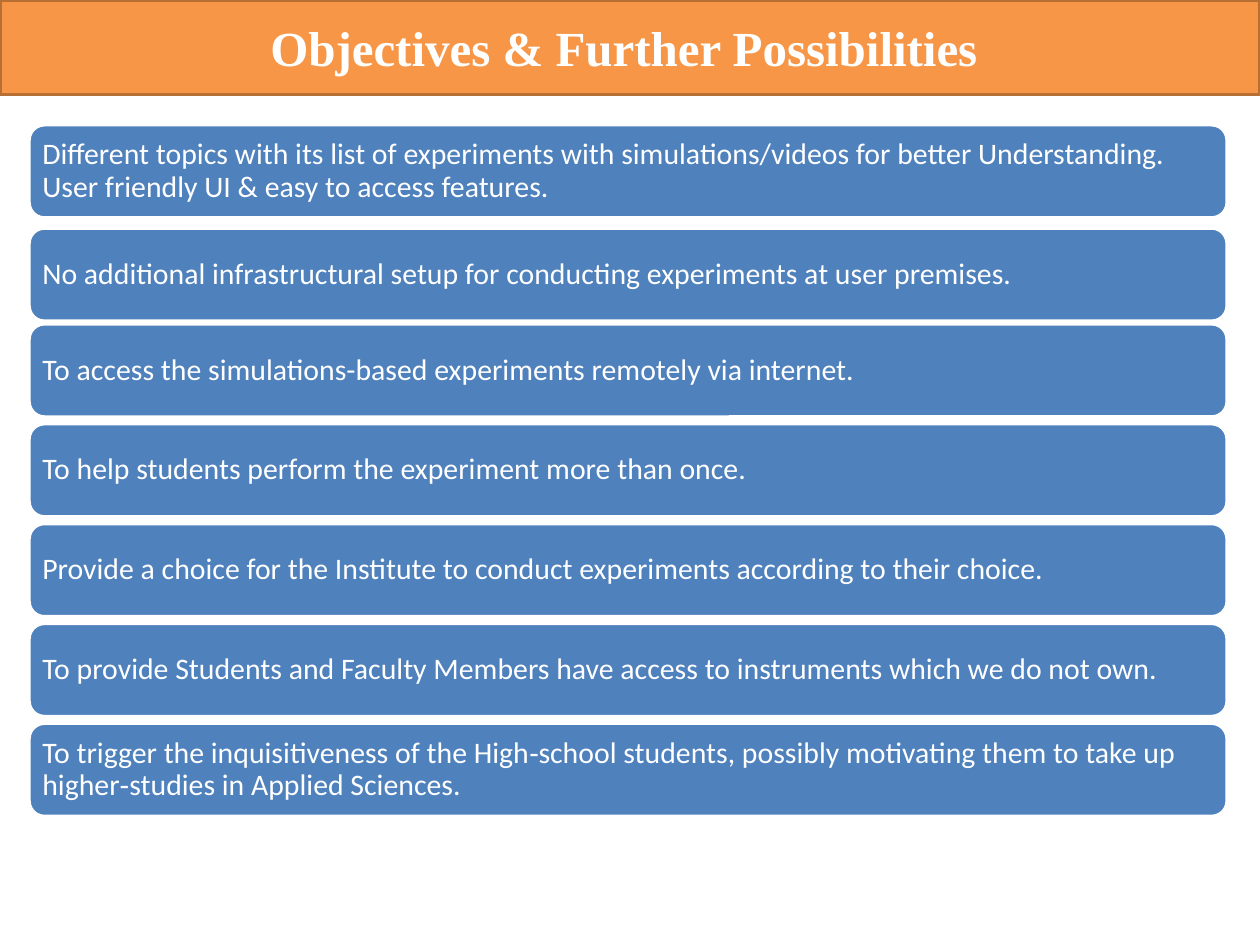
from pptx import Presentation
from pptx.dml.color import RGBColor
from pptx.enum.shapes import MSO_SHAPE
from pptx.enum.text import MSO_ANCHOR, MSO_AUTO_SIZE, PP_ALIGN
from pptx.util import Inches, Pt

# Content
TITLE = "Objectives & Further Possibilities "
OBJECTIVES = [
    "Different topics with its list of experiments with simulations/videos for better "
    "Understanding. User friendly UI & easy to access features.",
    "No additional infrastructural setup for conducting experiments at user premises.",
    "To access the simulations-based experiments remotely via internet.",
    "To help students perform the experiment more than once.",
    "Provide a choice for the Institute to conduct experiments according to their choice.",
    "To provide Students and Faculty Members have access to instruments which we do not own.",
    "To trigger the inquisitiveness of the High‐school students, possibly motivating them "
    "to take up higher‐studies in Applied Sciences.",
]

# Layout in inches: two opening bars, then an even rhythm
LEFT, WIDTH, HEIGHT = 0.23, 9.51, 0.74
OPENING_TOPS = [0.99, 1.81]
LIST_TOP, LAST_TOP = 2.57, 5.74
even_count = len(OBJECTIVES) - len(OPENING_TOPS)
STEP = (LAST_TOP - LIST_TOP) / (even_count - 1)
TOPS = OPENING_TOPS + [LIST_TOP + i * STEP for i in range(even_count)]


def color(value):
    return RGBColor.from_string(value)


def style_box(sp, fill, line):
    sp.fill.solid()
    sp.fill.fore_color.rgb = color(fill)
    sp.line.color.rgb = color(line)
    sp.line.width = Pt(2)
    sp.text_frame.vertical_anchor = MSO_ANCHOR.MIDDLE


def write(sp, text, font, size, align, bold=False):
    p = sp.text_frame.paragraphs[0]
    p.text = text
    p.alignment = align
    p.font.name = font
    p.font.size = Pt(size)
    p.font.bold = bold
    p.font.color.rgb = color("FFFFFF")
    return p


prs = Presentation()
prs.slide_width, prs.slide_height = Inches(10), Inches(7.5)
s = prs.slides.add_slide(prs.slide_layouts[5])

# Title band
title = s.shapes.title
title.left, title.top = Inches(0), Inches(0)
title.width, title.height = Inches(10), Inches(0.75)
style_box(title, "F79646", "B76F34")
title.text_frame.auto_size = MSO_AUTO_SIZE.NONE
title.text_frame.word_wrap = False
write(title, TITLE, "Times New Roman", 28, PP_ALIGN.CENTER, bold=True)

# Objective bars
for text, top in zip(OBJECTIVES, TOPS):
    sp = s.shapes.add_shape(MSO_SHAPE.ROUNDED_RECTANGLE, Inches(LEFT), Inches(top),
                            Inches(WIDTH), Inches(HEIGHT))
    sp.shadow.inherit = False
    style_box(sp, "4F81BD", "FFFFFF")
    tf = sp.text_frame
    tf.word_wrap = True
    # The rounded corners add about 0.04 in to each inset
    tf.margin_left = tf.margin_right = Inches(0.07)
    tf.margin_top = tf.margin_bottom = Inches(0.07)
    p = write(sp, text, "Calibri", 17, PP_ALIGN.LEFT)
    p.line_spacing = 0.9

prs.save("out.pptx")
